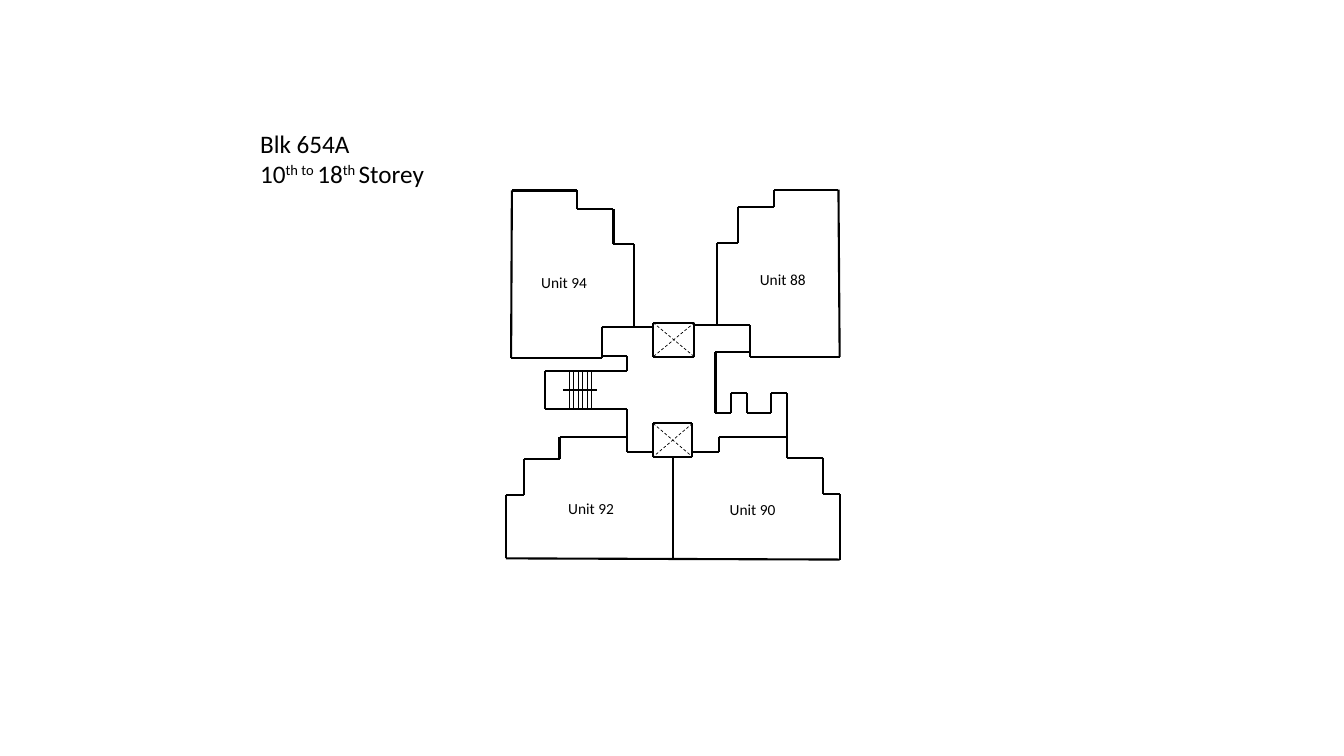
from itertools import pairwise

from lxml.etree import SubElement
from pptx import Presentation
from pptx.dml.color import RGBColor
from pptx.enum.dml import MSO_LINE_DASH_STYLE as DASH
from pptx.enum.shapes import MSO_CONNECTOR
from pptx.enum.text import MSO_ANCHOR, MSO_AUTO_SIZE, PP_ALIGN
from pptx.oxml.ns import qn
from pptx.util import Cm, Pt

BLACK = "000000"
FONT = "Calibri"

WALLS = {
    "unit 88": [(18.08, 8.2), (18.08, 6.12), (18.59, 6.12), (18.59, 5.21),
                (19.51, 5.21), (19.51, 4.78), (21.13, 4.78), (21.16, 8.99),
                (18.9, 8.99), (18.9, 8.2), (17.5, 8.2)],
    "unit 94": [(15.98, 8.23), (15.98, 6.15), (15.46, 6.15), (15.46, 5.26),
                (14.53, 5.26), (14.53, 4.8), (12.9, 4.8), (12.88, 9.02),
                (15.16, 9.02), (15.16, 8.23), (16.46, 8.23)],
    "unit 90": [(17.45, 11.38), (18.11, 11.38), (18.11, 11.02), (19.84, 11.02),
                (19.84, 11.53), (20.73, 11.53), (20.73, 12.45), (21.16, 12.45),
                (21.16, 14.1), (12.75, 14.07)],
    "unit 92": [(12.75, 14.07), (12.75, 12.47), (13.21, 12.47), (13.21, 11.56),
                (14.1, 11.56), (14.1, 11.02), (15.8, 11.02), (15.8, 11.38),
                (16.46, 11.38)],
    "party wall": [(16.97, 11.53), (16.97, 14.1)],
    "stairwell": [(15.16, 8.97), (15.8, 8.97), (15.8, 9.35), (13.74, 9.35),
                  (13.74, 10.31), (15.8, 10.31), (15.8, 11.02)],
    "service core": [(18.9, 8.86), (18.03, 8.86), (18.03, 10.41), (18.42, 10.41),
                     (18.42, 9.91), (18.82, 9.91), (18.82, 10.41), (19.43, 10.41),
                     (19.43, 9.91), (19.84, 9.91), (19.84, 11.02)],
}
LIFTS = [(16.46, 8.13, 17.5, 8.99), (16.46, 10.67, 17.45, 11.51)]
UNITS = [("Unit 88", 18.9, 6.68), ("Unit 90", 18.14, 12.47),
         ("Unit 92", 14.07, 12.45), ("Unit 94", 13.39, 6.76)]
STOREYS = [("10", False), ("th to ", True), ("18", False), ("th ", True),
           ("Storey", False)]


def rgb(value):
    return RGBColor.from_string(value)


def format_run(r, size):
    r.font.name = FONT
    r.font.size = Pt(size)
    r.font.color.rgb = rgb(BLACK)


def add_line(s, start, end, width=1.5, dash=None):
    sp = s.shapes.add_connector(MSO_CONNECTOR.STRAIGHT, *map(Cm, start + end))
    sp.line.color.rgb = rgb(BLACK)
    sp.line.width = Pt(width)
    if dash:
        sp.line.dash_style = dash
    SubElement(sp._element.spPr, qn("a:effectLst"))


def add_wall(s, points):
    for start, end in pairwise(points):
        add_line(s, start, end)


def add_lift(s, left, top, right, bottom):
    corners = [(left, top), (right, top), (right, bottom), (left, bottom)]
    add_wall(s, corners + corners[:1])
    for start, end in zip(corners[:2], corners[2:]):
        add_line(s, start, end, 0.5, DASH.DASH)


def add_stairs(s):
    for i in range(6):
        x = 14.35 + 0.11 * i
        add_line(s, (x, 9.35), (x, 10.31), 0.5)
    add_line(s, (14.2, 9.83), (15.04, 9.83))


def add_label(s, text, left, top):
    sp = s.shapes.add_textbox(Cm(left), Cm(top), Cm(1.73), Cm(0.74))
    tf = sp.text_frame
    tf.word_wrap = True
    tf.text = text
    format_run(tf.paragraphs[0].runs[0], 11)


def set_title(s):
    sp = s.shapes.title
    sp.left, sp.top, sp.width, sp.height = Cm(6.3), Cm(3.1), Cm(5.2), Cm(2.57)
    tf = sp.text_frame
    tf.word_wrap = True
    tf.auto_size = MSO_AUTO_SIZE.NONE
    tf.vertical_anchor = MSO_ANCHOR.TOP
    tf.text = "Blk 654A"
    p = tf.add_paragraph()
    for text, raised in STOREYS:
        r = p.add_run()
        r.text = text
        if raised:
            r.font._element.set("baseline", "30000")
    for p in tf.paragraphs:
        p.alignment = PP_ALIGN.LEFT
        p.line_spacing = 1.0
        p.space_before = Pt(0)
        for r in p.runs:
            format_run(r, 18)


def main():
    prs = Presentation()
    prs.slide_width, prs.slide_height = Cm(33.87), Cm(19.05)
    s = prs.slides.add_slide(prs.slide_layouts[5])
    set_title(s)
    for points in WALLS.values():
        add_wall(s, points)
    for lift in LIFTS:
        add_lift(s, *lift)
    add_stairs(s)
    for unit in UNITS:
        add_label(s, *unit)
    prs.save("out.pptx")


if __name__ == "__main__":
    main()
